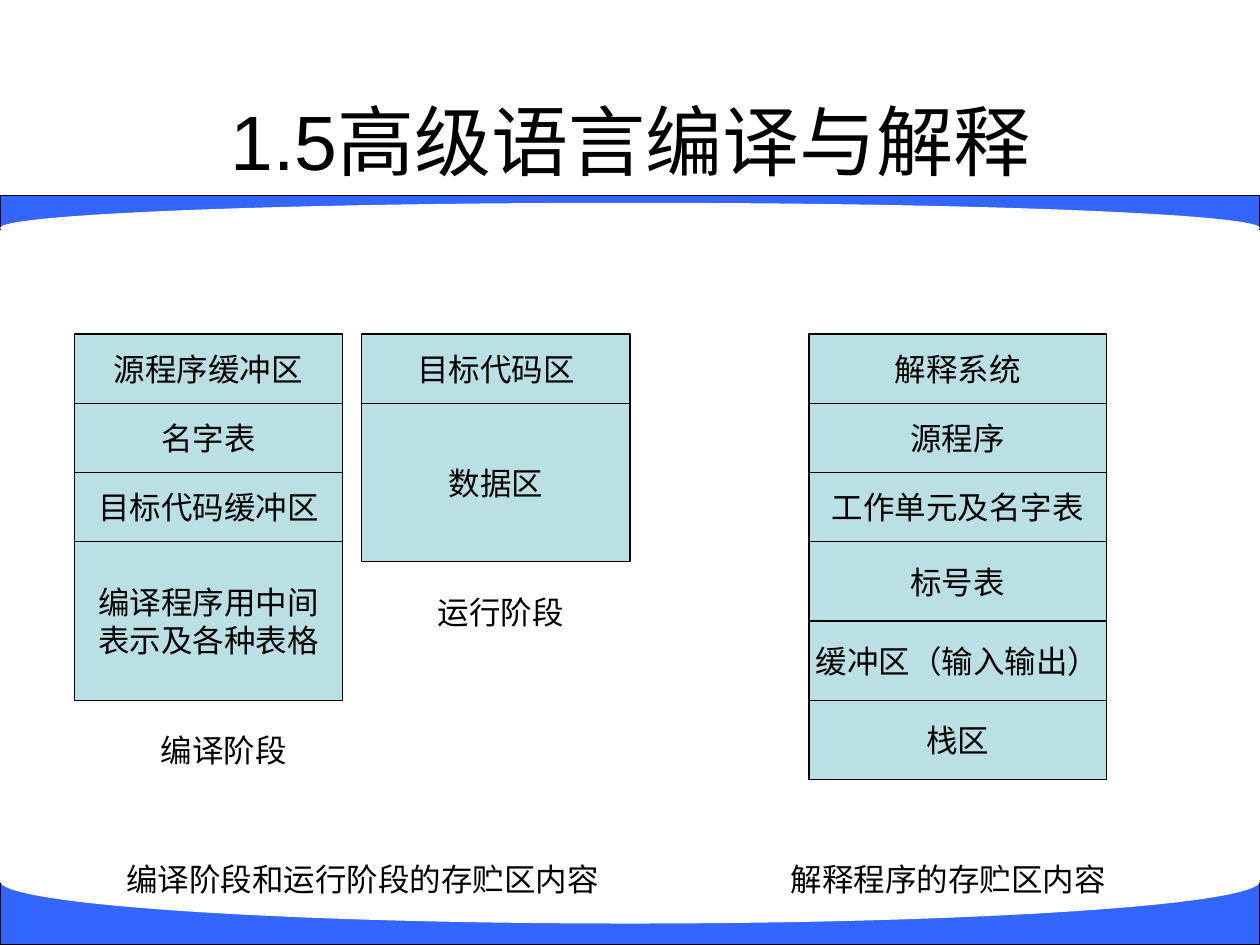
"""Build the slide comparing storage areas of compilers and interpreters."""
from dataclasses import dataclass

from pptx import Presentation
from pptx.dml.color import RGBColor
from pptx.enum import shapes, text
from pptx.util import Inches, Pt

BLACK = RGBColor(0x00, 0x00, 0x00)
WHITE = RGBColor(0xFF, 0xFF, 0xFF)
BLUE = RGBColor(0x33, 0x66, 0xFF)
TEAL = RGBColor(0xBB, 0xE0, 0xE3)
RECT = shapes.MSO_SHAPE.RECTANGLE
OVAL = shapes.MSO_SHAPE.OVAL
STACK_TOP = 2.65
ROW, TALL, MID = 0.55, 1.26, 0.63


@dataclass(frozen=True)
class Area:
    label: str
    height: float = ROW
    wrap: bool = False


@dataclass(frozen=True)
class Stack:
    left: float
    width: float
    areas: tuple[Area, ...]


@dataclass(frozen=True)
class Caption:
    label: str
    left: float
    top: float


@dataclass(frozen=True)
class Band:
    top: float
    height: float
    oval_top: float
    oval_height: float


BANDS = (Band(1.55, 0.27, 1.61, 0.4), Band(6.99, 0.51, 6.66, 0.67))

STACKS = (
    Stack(0.59, 2.13, (
        Area("源程序缓冲区"),
        Area("名字表"),
        Area("目标代码缓冲区"),
        Area("编译程序用中间表示及各种表格", TALL, True),
    )),
    Stack(2.87, 2.13, (Area("目标代码区"), Area("数据区", TALL))),
    Stack(6.42, 2.36, (
        Area("解释系统"),
        Area("源程序"),
        Area("工作单元及名字表"),
        Area("标号表", MID),
        Area("缓冲区（输入输出）", MID),
        Area("栈区", MID),
    )),
)

CAPTIONS = (
    Caption("编译阶段和运行阶段的存贮区内容", 1.85, 6.74),
    Caption("编译阶段", 0.75, 5.72),
    Caption("运行阶段", 2.95, 4.62),
    Caption("解释程序的存贮区内容", 6.5, 6.74),
)


def write(sp, label: str, size: int = 18, font: str = "Cabin", wrap: bool = False) -> None:
    tf = sp.text_frame
    tf.word_wrap = wrap
    tf.auto_size = text.MSO_AUTO_SIZE.NONE
    tf.vertical_anchor = text.MSO_ANCHOR.MIDDLE
    p = tf.paragraphs[0]
    p.alignment = text.PP_ALIGN.CENTER
    r = p.add_run()
    r.text = label
    r.font.size = Pt(size)
    r.font.name = font
    r.font.color.rgb = BLACK


def add_block(s, kind, left: float, top: float, width: float, height: float,
              fill: RGBColor, outlined: bool = True):
    sp = s.shapes.add_shape(kind, Inches(left), Inches(top), Inches(width), Inches(height))
    sp.shadow.inherit = False
    sp.fill.solid()
    sp.fill.fore_color.rgb = fill
    if outlined:
        sp.line.color.rgb = BLACK
        sp.line.width = Pt(0.75)
    else:
        sp.line.fill.background()
    return sp


def add_band(s, band: Band) -> None:
    add_block(s, RECT, 0, band.top, 10, band.height, BLUE)
    add_block(s, OVAL, 0, band.oval_top, 10, band.oval_height, WHITE, outlined=False)


def add_stack(s, stack: Stack) -> None:
    top = STACK_TOP
    for area in stack.areas:
        sp = add_block(s, RECT, stack.left, top, stack.width, area.height, TEAL)
        write(sp, area.label, wrap=area.wrap)
        top += area.height


def add_caption(s, caption: Caption) -> None:
    sp = s.shapes.add_textbox(Inches(caption.left), Inches(caption.top), Inches(2.05), Inches(0.47))
    write(sp, caption.label)


def main() -> None:
    prs = Presentation()
    prs.slide_width, prs.slide_height = Inches(10), Inches(7.5)
    s = prs.slides.add_slide(prs.slide_layouts[6])
    for band in BANDS:
        add_band(s, band)
    title = s.shapes.add_textbox(Inches(0.51), Inches(0.68), Inches(9), Inches(0.86))
    write(title, "1.5高级语言编译与解释", 44, "Arial", wrap=True)
    for stack in STACKS:
        add_stack(s, stack)
    for caption in CAPTIONS:
        add_caption(s, caption)
    prs.save("out.pptx")


if __name__ == "__main__":
    main()
